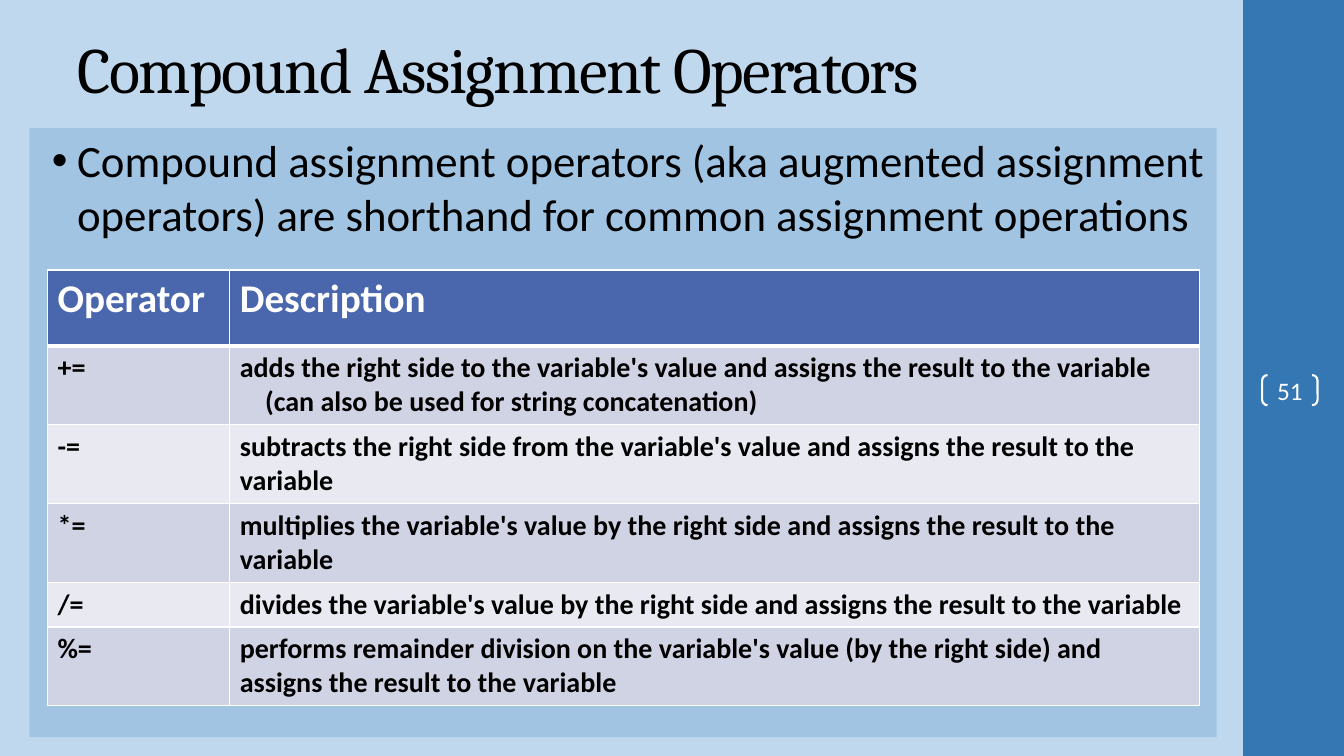
from dataclasses import dataclass

from lxml import etree
from pptx import Presentation
from pptx.dml.color import RGBColor
from pptx.enum.shapes import MSO_SHAPE
from pptx.enum.text import MSO_ANCHOR, PP_ALIGN
from pptx.oxml.ns import qn
from pptx.util import Emu, Inches, Pt

RECTANGLE = MSO_SHAPE.RECTANGLE
BRACKETS = MSO_SHAPE.DOUBLE_BRACKET
TOP, MIDDLE = MSO_ANCHOR.TOP, MSO_ANCHOR.MIDDLE
LEFT, CENTER = PP_ALIGN.LEFT, PP_ALIGN.CENTER
BLANK_LAYOUT = 6

SLIDE_WIDTH, SLIDE_HEIGHT = Inches(13.33), Inches(7.5)
COLUMNS, ROWS = 160, 90


@dataclass(frozen=True)
class Theme:
    background: str = "C0D8ED"
    sidebar: str = "3477B2"
    panel: str = "A1C4E3"
    header: str = "4A66AC"
    bands: tuple[str, str] = ("D0D3E3", "E9EAF1")
    dark: str = "000000"
    light: str = "FFFFFF"
    heading_font: str = "Cambria"
    body_font: str = "Calibri"
    title_size: int = 46
    body_size: int = 32
    header_size: int = 28
    cell_size: int = 20
    number_size: int = 18


@dataclass(frozen=True)
class Area:
    column: float
    row: float
    columns: float
    rows: float

    def place(self) -> tuple[Emu, Emu, Emu, Emu]:
        return across(self.column), down(self.row), across(self.columns), down(self.rows)


@dataclass(frozen=True)
class Operator:
    symbol: str
    description: str
    note: str = ""
    rows: float = 9.4


THEME = Theme()
SIDEBAR = Area(148, 0, 12, 90)
TITLE = Area(8, 2.76, 133.33, 10.68)
PANEL = Area(3.5, 15.25, 141.35, 72.5)
PAGE_NUMBER = Area(150.25, 44.65, 6.6, 3.6)
OPERATOR_TABLE = Area(5.65, 32.15, 137.15, 51.9)
SYMBOL_COLUMNS = 21.7
HEADER_ROWS = 9

OPERATORS = [
    Operator("+=", "adds the right side to the variable's value and assigns the result to the variable",
             "(can also be used for string concatenation)"),
    Operator("-=", "subtracts the right side from the variable's value and assigns the result to the variable"),
    Operator("*=", "multiplies the variable's value by the right side and assigns the result to the variable"),
    Operator("/=", "divides the variable's value by the right side and assigns the result to the variable",
             rows=5.3),
    Operator("%=", "performs remainder division on the variable's value (by the right side) and "
                   "assigns the result to the variable"),
]


def across(columns: float) -> Emu:
    return Emu(round(SLIDE_WIDTH * columns / COLUMNS))


def down(rows: float) -> Emu:
    return Emu(round(SLIDE_HEIGHT * rows / ROWS))


def color(code: str) -> RGBColor:
    return RGBColor.from_string(code)


def write(frame, text: str, *, size: int, ink: str = THEME.dark, font: str = THEME.body_font,
          bold: bool = False, align=LEFT, anchor=TOP, spacing: int = 0,
          bullet: str = "", margin: float = 0, hanging: float = 0, append: bool = False) -> None:
    frame.word_wrap = True
    frame.vertical_anchor = anchor
    paragraph = frame.add_paragraph() if append else frame.paragraphs[0]
    paragraph.alignment = align
    properties = paragraph._p.get_or_add_pPr()
    properties.set("marL", str(across(margin)))
    properties.set("indent", str(-across(hanging)))
    if bullet:
        bullet_color = etree.SubElement(properties, qn("a:buClr"))
        etree.SubElement(bullet_color, qn("a:srgbClr"), val=ink)
        etree.SubElement(properties, qn("a:buFont"), typeface="Arial")
        etree.SubElement(properties, qn("a:buChar"), char=bullet)
    run = paragraph.add_run()
    run.text = text
    run.font.size = Pt(size)
    run.font.name = font
    run.font.bold = bold
    run.font.color.rgb = color(ink)
    if spacing:
        run._r.get_or_add_rPr().set("spc", str(spacing))


def add_block(slide, kind, area: Area, *, fill: str = "", line: str = ""):
    block = slide.shapes.add_shape(kind, *area.place())
    block.shadow.inherit = False
    if fill:
        block.fill.solid()
        block.fill.fore_color.rgb = color(fill)
    else:
        block.fill.background()
    if line:
        block.line.color.rgb = color(line)
        block.line.width = Pt(1.5)
    else:
        block.line.fill.background()
    return block


def dress_cell(cell, fill: str, bottom: int = 1) -> None:
    properties = cell._tc.get_or_add_tcPr()
    for side, points in (("L", 1), ("R", 1), ("T", 1), ("B", bottom)):
        border = etree.SubElement(properties, qn(f"a:ln{side}"), w=str(Pt(points)))
        paint = etree.SubElement(border, qn("a:solidFill"))
        etree.SubElement(paint, qn("a:srgbClr"), val=THEME.light)
    cell.fill.solid()
    cell.fill.fore_color.rgb = color(fill)


def add_operator_table(slide, area: Area, operators: list[Operator]) -> None:
    table = slide.shapes.add_table(len(operators) + 1, 2, *area.place()).table
    table.columns[0].width = across(SYMBOL_COLUMNS)
    table.columns[1].width = across(area.columns - SYMBOL_COLUMNS)
    table.rows[0].height = down(HEADER_ROWS)
    for index, heading in enumerate(("Operator", "Description")):
        cell = table.cell(0, index)
        dress_cell(cell, THEME.header, bottom=3)
        write(cell.text_frame, heading, size=THEME.header_size, ink=THEME.light, bold=True)
    for index, operator in enumerate(operators, start=1):
        table.rows[index].height = down(operator.rows)
        for position, text in enumerate((operator.symbol, operator.description)):
            cell = table.cell(index, position)
            dress_cell(cell, THEME.bands[(index - 1) % 2])
            write(cell.text_frame, text, size=THEME.cell_size, bold=True)
        if operator.note:
            write(table.cell(index, 1).text_frame, operator.note, size=THEME.cell_size,
                  bold=True, margin=3, append=True)


def main() -> None:
    presentation = Presentation()
    presentation.slide_width, presentation.slide_height = SLIDE_WIDTH, SLIDE_HEIGHT
    slide = presentation.slides.add_slide(presentation.slide_layouts[BLANK_LAYOUT])
    slide.background.fill.solid()
    slide.background.fill.fore_color.rgb = color(THEME.background)

    add_block(slide, RECTANGLE, SIDEBAR, fill=THEME.sidebar)
    title = slide.shapes.add_textbox(*TITLE.place())
    write(title.text_frame, "Compound Assignment Operators", size=THEME.title_size,
          font=THEME.heading_font, anchor=MIDDLE, spacing=-100)
    panel = add_block(slide, RECTANGLE, PANEL, fill=THEME.panel)
    write(panel.text_frame, "Compound assignment operators (aka augmented assignment operators) "
          "are shorthand for common assignment operations",
          size=THEME.body_size, bullet="•", margin=4.5, hanging=3)

    page_number = add_block(slide, BRACKETS, PAGE_NUMBER, line=THEME.light)
    page_number.adjustments[0] = 0.18
    number_frame = page_number.text_frame
    number_frame.margin_left = number_frame.margin_right = 0
    number_frame.margin_top = number_frame.margin_bottom = 0
    write(number_frame, "51", size=THEME.number_size, ink=THEME.light, align=CENTER, anchor=MIDDLE)

    add_operator_table(slide, OPERATOR_TABLE, OPERATORS)
    presentation.save("out.pptx")


if __name__ == "__main__":
    main()
